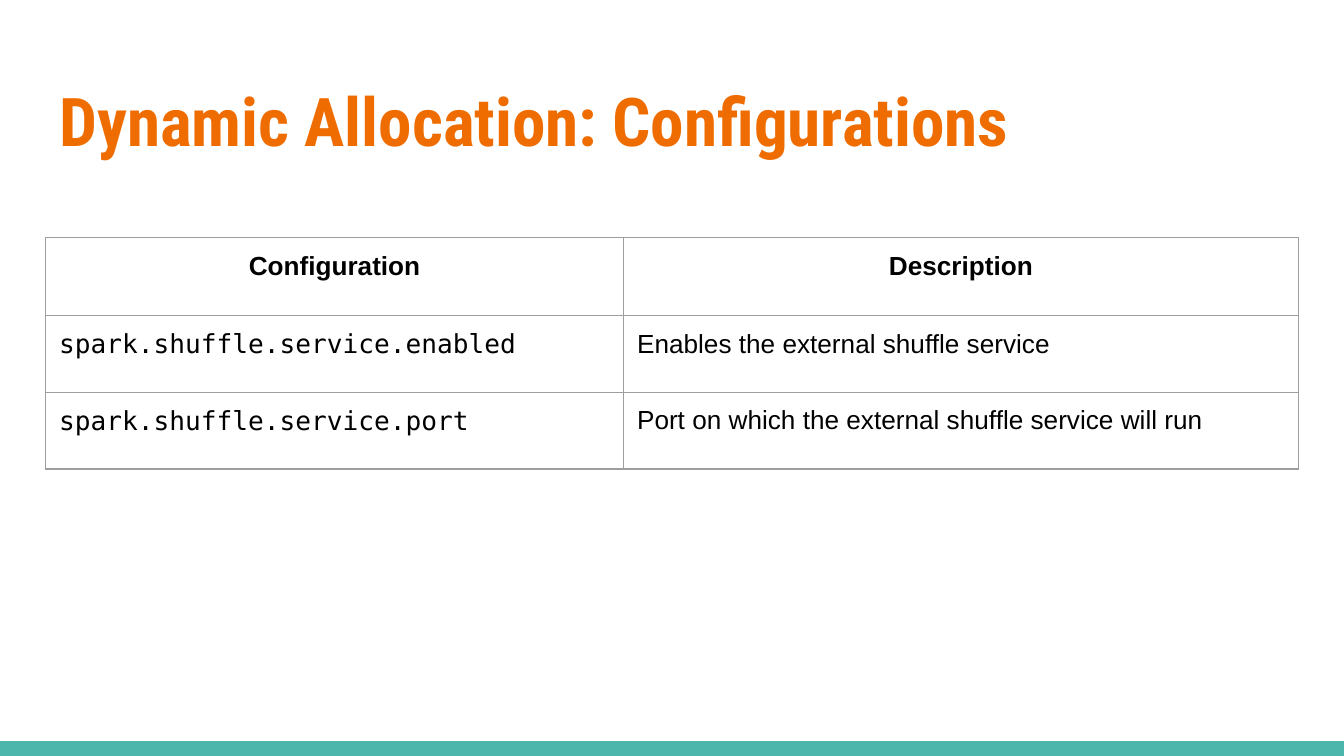
from lxml import etree
from pptx import Presentation
from pptx.dml.color import RGBColor
from pptx.enum.shapes import MSO_SHAPE
from pptx.enum.text import MSO_ANCHOR, PP_ALIGN
from pptx.oxml.ns import qn
from pptx.util import Inches, Pt

RECTANGLE = MSO_SHAPE.RECTANGLE
TOP = MSO_ANCHOR.TOP
LEFT, CENTER = PP_ALIGN.LEFT, PP_ALIGN.CENTER

TITLE_ONLY = 5
WIDTH = 10
HEIGHT = WIDTH * 9 / 16
MARGIN = 0.34
PADDING = Inches(0.1)
BAR_HEIGHT = 0.11
ORANGE, TEAL, GRAY = "EF6C00", "4DB6AC", "9E9E9E"
BLACK, WHITE = "000000", "FFFFFF"
SANS, MONO, HEADING = "Arial", "DejaVu Sans Mono", "Roboto Condensed"

COLUMN_WIDTHS = [4.3, 5.02]
ROW_HEIGHTS = [0.58, 0.57, 0.57]
CONFIGURATIONS = [
    ("Configuration", "Description"),
    ("spark.shuffle.service.enabled", "Enables the external shuffle service"),
    ("spark.shuffle.service.port",
     "Port on which the external shuffle service will run"),
]


def rgb(hex_color):
    return RGBColor.from_string(hex_color)


def write_text(frame, text, font=SANS, size=14, color=BLACK, bold=False,
               align=LEFT):
    frame.word_wrap = True
    paragraph = frame.paragraphs[0]
    paragraph.alignment = align
    run = paragraph.add_run()
    run.text = text
    run.font.name = font
    run.font.size = Pt(size)
    run.font.bold = bold
    run.font.color.rgb = rgb(color)


def set_padding(box):
    """Give a cell or text frame equal margins on all sides."""
    box.margin_left = box.margin_right = PADDING
    box.margin_top = box.margin_bottom = PADDING


def set_borders(cell, color, width):
    properties = cell._tc.get_or_add_tcPr()
    for position, side in enumerate(("a:lnL", "a:lnR", "a:lnT", "a:lnB")):
        line = etree.Element(qn(side), w=str(Pt(width)))
        fill = etree.SubElement(line, qn("a:solidFill"))
        etree.SubElement(fill, qn("a:srgbClr"), val=color)
        properties.insert(position, line)


def add_bottom_bar(slide):
    bar = slide.shapes.add_shape(
        RECTANGLE, 0, Inches(HEIGHT - BAR_HEIGHT),
        Inches(WIDTH), Inches(BAR_HEIGHT))
    bar.shadow.inherit = False
    bar.fill.solid()
    bar.fill.fore_color.rgb = rgb(TEAL)
    bar.line.fill.background()


def set_title(slide, text):
    title = slide.shapes.title
    title.left, title.top = Inches(MARGIN), Inches(0.49)
    title.width, title.height = Inches(WIDTH - 2 * MARGIN), Inches(0.77)
    frame = title.text_frame
    set_padding(frame)
    frame.vertical_anchor = TOP
    write_text(frame, text, font=HEADING, size=36, color=ORANGE, bold=True)


def add_configuration_table(slide):
    table = slide.shapes.add_table(
        len(ROW_HEIGHTS), len(COLUMN_WIDTHS), Inches(MARGIN), Inches(1.77),
        Inches(sum(COLUMN_WIDTHS)), Inches(sum(ROW_HEIGHTS))).table
    table.horz_banding = False
    for column, width in zip(table.columns, COLUMN_WIDTHS):
        column.width = Inches(width)
    for row, height in zip(table.rows, ROW_HEIGHTS):
        row.height = Inches(height)
    for row_index, texts in enumerate(CONFIGURATIONS):
        header = row_index == 0
        for column_index, text in enumerate(texts):
            cell = table.cell(row_index, column_index)
            set_padding(cell)
            cell.vertical_anchor = TOP
            cell.fill.background()
            set_borders(cell, GRAY, 0.75)
            is_setting = column_index == 0 and not header
            write_text(cell.text_frame, text, bold=header,
                       font=MONO if is_setting else SANS,
                       align=CENTER if header else LEFT)


def main():
    presentation = Presentation()
    presentation.slide_width = Inches(WIDTH)
    presentation.slide_height = Inches(HEIGHT)
    slide = presentation.slides.add_slide(
        presentation.slide_layouts[TITLE_ONLY])
    slide.background.fill.solid()
    slide.background.fill.fore_color.rgb = rgb(WHITE)
    add_bottom_bar(slide)
    set_title(slide, "Dynamic Allocation: Configurations")
    add_configuration_table(slide)
    presentation.save("out.pptx")


if __name__ == "__main__":
    main()
